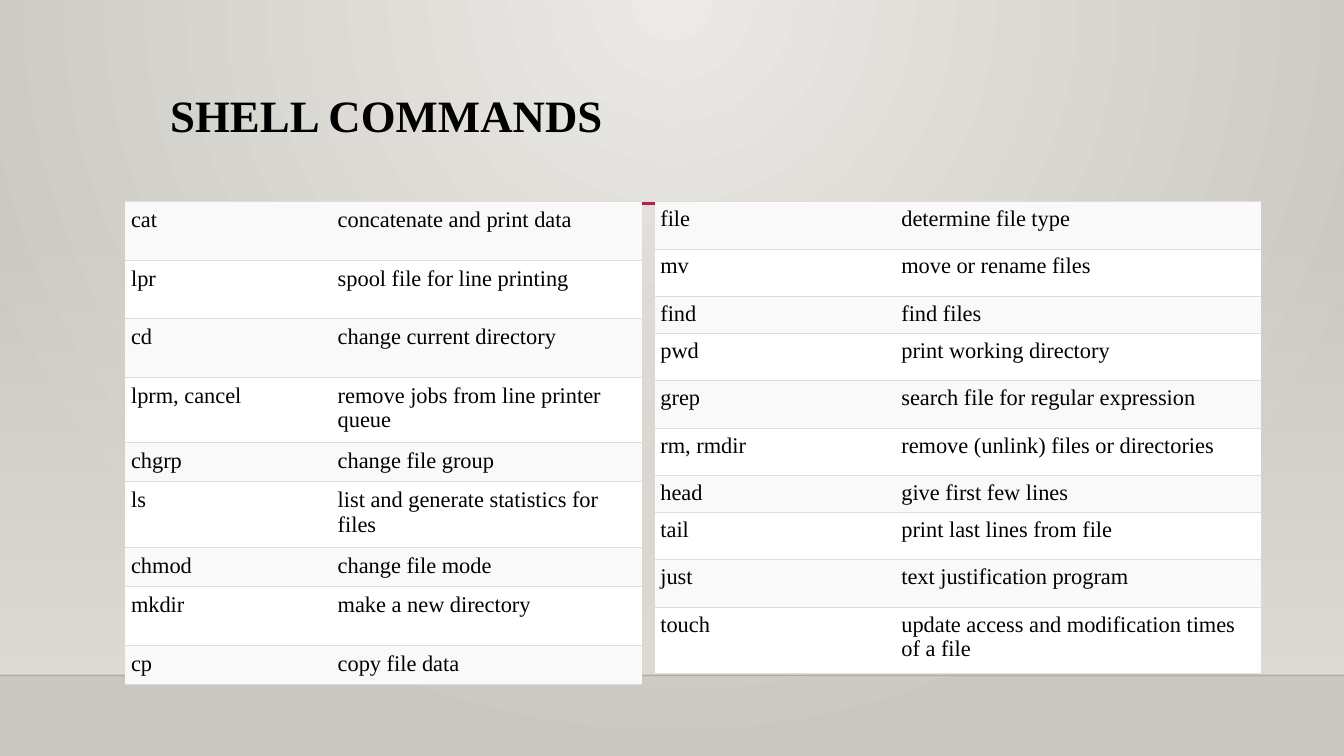
from dataclasses import dataclass
from lxml import etree
from pptx import Presentation
from pptx.dml.color import RGBColor
from pptx.enum.shapes import MSO_CONNECTOR, MSO_SHAPE
from pptx.enum.text import MSO_ANCHOR
from pptx.oxml import parse_xml
from pptx.oxml.ns import nsdecls, qn
from pptx.util import Inches, Pt

LINE = MSO_CONNECTOR.STRAIGHT
RECT = MSO_SHAPE.RECTANGLE
TOP = MSO_ANCHOR.TOP


@dataclass(frozen=True)
class Theme:
    font: str = "Times New Roman"
    ink: str = "000000"
    glow: str = "ECEAE7"
    edge: str = "CAC7C1"
    wall: str = "DFDBD5"
    red: str = "B71E42"
    rule: str = "DDDDDD"
    bands: tuple = ("F9F9F9", "FFFFFF")
    head: int = 32
    body: int = 16


def fade(root, stops, kind):
    """Swap the solid fill under root for a gradient of (place, colour, alpha)."""
    marks = "".join(
        f'<a:gs pos="{pos * 1000}"><a:srgbClr val="{tone}">'
        f'<a:alpha val="{alpha * 1000}"/></a:srgbClr></a:gs>'
        for pos, tone, alpha in stops)
    grad = parse_xml(f'<a:gradFill {nsdecls("a")} rotWithShape="1">'
                     f'<a:gsLst>{marks}</a:gsLst>{kind}</a:gradFill>')
    old = root.find(qn("a:solidFill"))
    old.getparent().replace(old, grad)


class Deck:
    def __init__(self, theme):
        self.theme = theme
        self.file = Presentation()
        self.file.slide_width = Inches(13.33)
        self.file.slide_height = Inches(7.5)
        self.slide = self.file.slides.add_slide(self.file.slide_layouts[6])
        self.shapes = self.slide.shapes

    def ground(self, stops, kind):
        self.slide.background.fill.solid()
        fade(self.slide.element.find(".//" + qn("p:bgPr")), stops, kind)

    def panel(self, box, stops, kind):
        shape = self.shapes.add_shape(RECT, *map(Inches, box))
        shape.shadow.inherit = False
        shape.line.fill.background()
        shape.fill.solid()
        fade(shape.element.spPr, stops, kind)

    def line(self, left, right, y, tone, width, alpha=100):
        rule = self.shapes.add_connector(LINE, *map(Inches, (left, y, right, y)))
        rule.line.color.rgb = RGBColor.from_string(tone)
        rule.line.width = Pt(width)
        props = rule.element.spPr
        shade = etree.SubElement(props.find(".//" + qn("a:srgbClr")), qn("a:alpha"))
        shade.set("val", str(alpha * 1000))
        etree.SubElement(props, qn("a:effectLst"))

    def label(self, frame, text, size, bold=False):
        part = frame.paragraphs[0]
        run = part.add_run()
        run.text = text
        looks = {"name": self.theme.font, "size": Pt(size), "bold": bold}
        for key, value in looks.items():
            setattr(run.font, key, value)
        run.font.color.rgb = RGBColor.from_string(self.theme.ink)
        return part

    def title(self, box, text):
        frame = self.shapes.add_textbox(*map(Inches, box)).text_frame
        frame.word_wrap = True
        frame.vertical_anchor = TOP
        self.label(frame, text, self.theme.head, True).line_spacing = 0.9

    def border(self, cell):
        rule = f'<a:solidFill><a:srgbClr val="{self.theme.rule}"/></a:solidFill>'
        sides = {"L": "<a:noFill/>", "R": "<a:noFill/>", "T": rule, "B": rule}
        props = cell._tc.get_or_add_tcPr()
        for spot, (side, fill) in enumerate(sides.items()):
            props.insert(spot, parse_xml(
                f'<a:ln{side} {nsdecls("a")} w="{Pt(0.6)}">{fill}</a:ln{side}>'))

    def table(self, left, top, cols, rows, pad):
        high = sum(row[0] for row in rows)
        box = map(Inches, (left, top, sum(cols), high))
        grid = self.shapes.add_table(len(rows), len(cols), *box).table
        grid.first_row = grid.horz_banding = False
        for col, wide in zip(grid.columns, cols):
            col.width = Inches(wide)
        for r, (tall, *words) in enumerate(rows):
            grid.rows[r].height = Inches(tall)
            for c, word in enumerate(words):
                cell = grid.cell(r, c)
                for side in ("left", "right", "top", "bottom"):
                    setattr(cell, "margin_" + side, Inches(pad))
                cell.fill.solid()
                cell.fill.fore_color.rgb = RGBColor.from_string(self.theme.bands[r % 2])
                self.border(cell)
                self.label(cell.text_frame, word, self.theme.body)


theme = Theme()
deck = Deck(theme)

# Backdrop: round glow, wall fade and floor line
deck.ground([(0, theme.glow, 100), (100, theme.edge, 100)],
            '<a:path path="circle"><a:fillToRect l="43000" r="43000" b="100000"/></a:path>')
deck.panel((0, 2.21, 13.33, 4.49), [(0, theme.wall, 0), (100, theme.wall, 100)],
           '<a:lin ang="5400000" scaled="0"/>')
deck.line(0, 13.33, 6.7, theme.ink, 1, 20)

# Title and its rule
deck.line(1.59, 12.1, 2.02, theme.red, 2.5)
deck.title((1.59, 0.88, 10.5, 1.15), "SHELL COMMANDS")

# Command tables: row height, command, meaning
deck.table(1.24, 2, (2.05, 3.08), [
    (0.58, "cat", "concatenate and print data"),
    (0.58, "lpr", "spool file for line printing"),
    (0.58, "cd", "change current directory"),
    (0.58, "lprm, cancel", "remove jobs from line printer queue"),
    (0.34, "chgrp", "change file group"),
    (0.58, "ls", "list and generate statistics for files"),
    (0.33, "chmod", "change file mode"),
    (0.58, "mkdir", "make a new directory"),
    (0.34, "cp", "copy file data"),
], 0.06)
deck.table(6.5, 2, (2.39, 3.62), [
    (0.47, "file", "determine file type"),
    (0.47, "mv", "move or rename files"),
    (0.35, "find", "find files"),
    (0.47, "pwd", "print working directory"),
    (0.47, "grep", "search file for regular expression"),
    (0.47, "rm, rmdir", "remove (unlink) files or directories"),
    (0.35, "head", "give first few lines"),
    (0.47, "tail", "print last lines from file"),
    (0.47, "just", "text justification program"),
    (0.66, "touch", "update access and modification times of a file"),
], 0.05)

deck.file.save("out.pptx")
